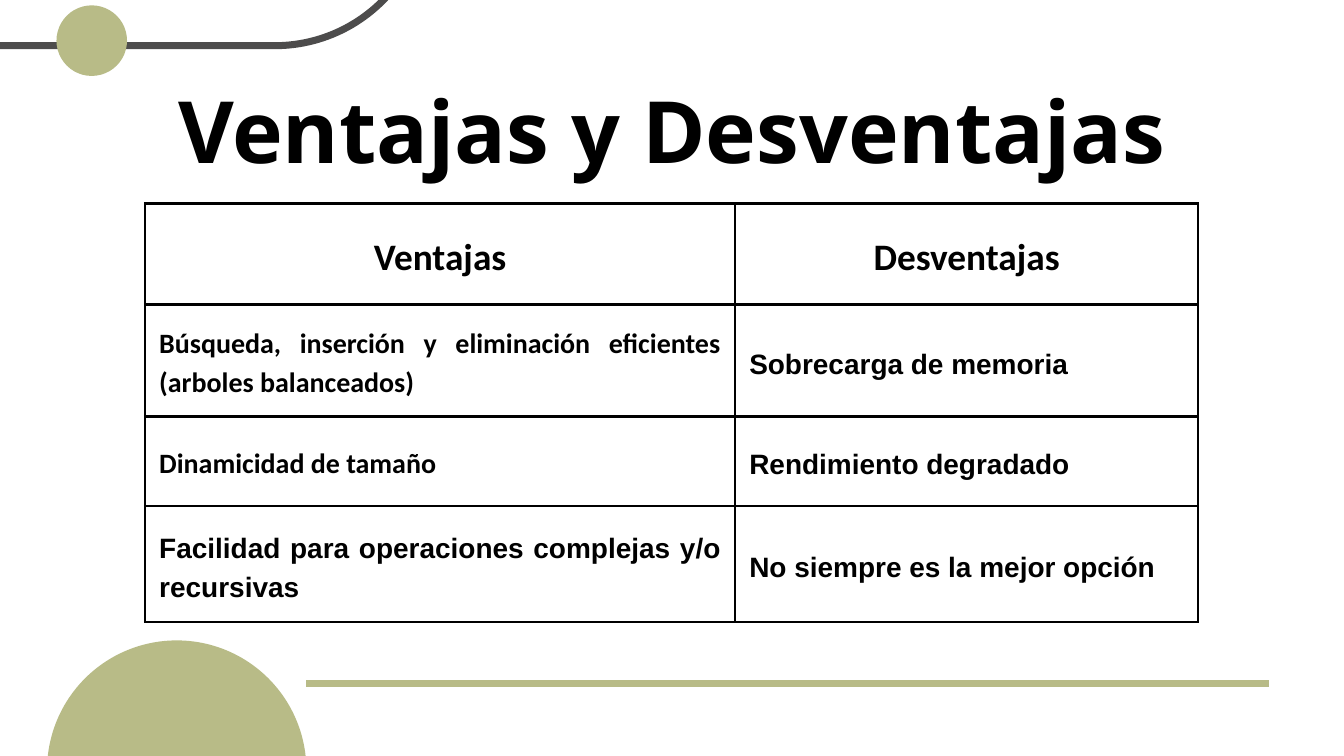
from dataclasses import dataclass

from lxml import etree
from pptx import Presentation
from pptx.dml.color import RGBColor
from pptx.enum.shapes import MSO_CONNECTOR, MSO_SHAPE
from pptx.enum.text import MSO_ANCHOR, MSO_AUTO_SIZE, PP_ALIGN
from pptx.oxml import parse_xml
from pptx.oxml.ns import nsdecls, qn
from pptx.util import Inches, Pt

LINE = MSO_CONNECTOR.STRAIGHT
OVAL, PILL = MSO_SHAPE.OVAL, MSO_SHAPE.ROUNDED_RECTANGLE
TOP, MIDDLE = MSO_ANCHOR.TOP, MSO_ANCHOR.MIDDLE
FIXED = MSO_AUTO_SIZE.NONE
CENTER, LEFT, JUST = PP_ALIGN.CENTER, PP_ALIGN.LEFT, PP_ALIGN.JUSTIFY

WIDTH, HEIGHT = Inches(20), Inches(11.25)
UNIT = WIDTH / 20
OLIVE, GRAY, BLACK = "B8BB87", "4D4C4C", "000000"
LEADING = 1.4


@dataclass
class Box:
    col: float
    row: float
    wide: float
    high: float

    def place(self) -> list[int]:
        return [grid(n) for n in (self.col, self.row, self.wide, self.high)]


@dataclass
class Entry:
    text: str
    face: str
    align: PP_ALIGN
    size: int = 30


DOTS = [Box(0.84, 0.08, 1.05, 1.05), Box(0.7, 9.53, 3.86, 3.86)]
COLS = [8.78, 6.89]
ROWS = [1.5, 1.67, 1.33, 1.73]
CELLS = [
    [Entry("Ventajas", "Calibri", CENTER, 40),
     Entry("Desventajas", "Calibri", CENTER, 40)],
    [Entry("Búsqueda, inserción y eliminación eficientes (arboles balanceados)",
           "Calibri", JUST),
     Entry("Sobrecarga de memoria", "Arial", LEFT)],
    [Entry("Dinamicidad de tamaño", "Calibri", JUST),
     Entry("Rendimiento degradado", "Arial", LEFT)],
    [Entry("Facilidad para operaciones complejas y/o recursivas", "Arial", JUST),
     Entry("No siempre es la mejor opción", "Arial", LEFT)],
]


def grid(count: float) -> int:
    return round(count * UNIT)


def tint(code: str) -> RGBColor:
    return RGBColor.from_string(code)


def style(item, **values) -> None:
    for name, value in values.items():
        setattr(item, name, value)


def write(frame, entry: Entry) -> None:
    frame.text = entry.text
    para = frame.paragraphs[0]
    style(para, alignment=entry.align, line_spacing=Pt(entry.size * LEADING),
          space_before=Pt(0))
    font = para.runs[0].font
    style(font, name=entry.face, size=Pt(entry.size), bold=True)
    font.color.rgb = tint(BLACK)


def dot(slide, box: Box) -> None:
    shape = slide.shapes.add_shape(OVAL, *box.place())
    shape.shadow.inherit = False
    shape.fill.solid()
    shape.fill.fore_color.rgb = tint(OLIVE)
    shape.line.fill.background()


def loop(slide, box: Box) -> None:
    shape = slide.shapes.add_shape(PILL, *box.place())
    shape.adjustments[0] = 0.5
    shape.shadow.inherit = False
    shape.fill.background()
    shape.line.color.rgb = tint(GRAY)
    shape.line.width = Pt(7.5)


def rule(slide, start: float, end: float, row: float) -> None:
    line = slide.shapes.add_connector(
        LINE, grid(start), grid(row), grid(end), grid(row))
    line.line.color.rgb = tint(OLIVE)
    line.line.width = Pt(6.75)
    etree.SubElement(line._element.spPr, qn("a:effectLst"))


def frame_cell(cell) -> None:
    props = cell._tc.get_or_add_tcPr()
    for side in "LRTB":
        props.append(parse_xml(
            f'<a:ln{side} {nsdecls("a")} w="{Pt(3)}"><a:solidFill>'
            f'<a:srgbClr val="{BLACK}"/></a:solidFill></a:ln{side}>'))
    cell.fill.background()


def chart_pros(slide, box: Box) -> None:
    table = slide.shapes.add_table(len(ROWS), len(COLS), *box.place()).table
    style(table, first_row=False, horz_banding=False)
    for col, wide in zip(table.columns, COLS):
        col.width = grid(wide)
    for row, high, line in zip(table.rows, ROWS, CELLS):
        row.height = grid(high)
        for cell, entry in zip(row.cells, line):
            frame_cell(cell)
            pad = grid(0.21)
            style(cell, vertical_anchor=MIDDLE, margin_left=pad,
                  margin_right=pad, margin_top=pad, margin_bottom=pad)
            write(cell.text_frame, entry)


def head(slide, box: Box) -> None:
    title = slide.shapes.title
    style(title, **dict(zip(("left", "top", "width", "height"), box.place())))
    frame = title.text_frame
    style(frame, word_wrap=True, auto_size=FIXED, vertical_anchor=TOP,
          margin_left=0, margin_right=0, margin_top=0, margin_bottom=0)
    write(frame, Entry("Ventajas y Desventajas", "Open Sans", CENTER, 92))


def main() -> None:
    deck = Presentation()
    style(deck, slide_width=WIDTH, slide_height=HEIGHT)
    slide = deck.slides.add_slide(deck.slide_layouts[5])
    loop(slide, Box(-4.11, -3.84, 10.46, 4.52))
    for box in DOTS:
        dot(slide, box)
    rule(slide, 4.56, 18.88, 10.17)
    chart_pros(slide, Box(2.16, 3.03, sum(COLS), sum(ROWS)))
    head(slide, Box(2.64, 0.9, 14.72, 1.71))
    deck.save("out.pptx")


if __name__ == "__main__":
    main()
